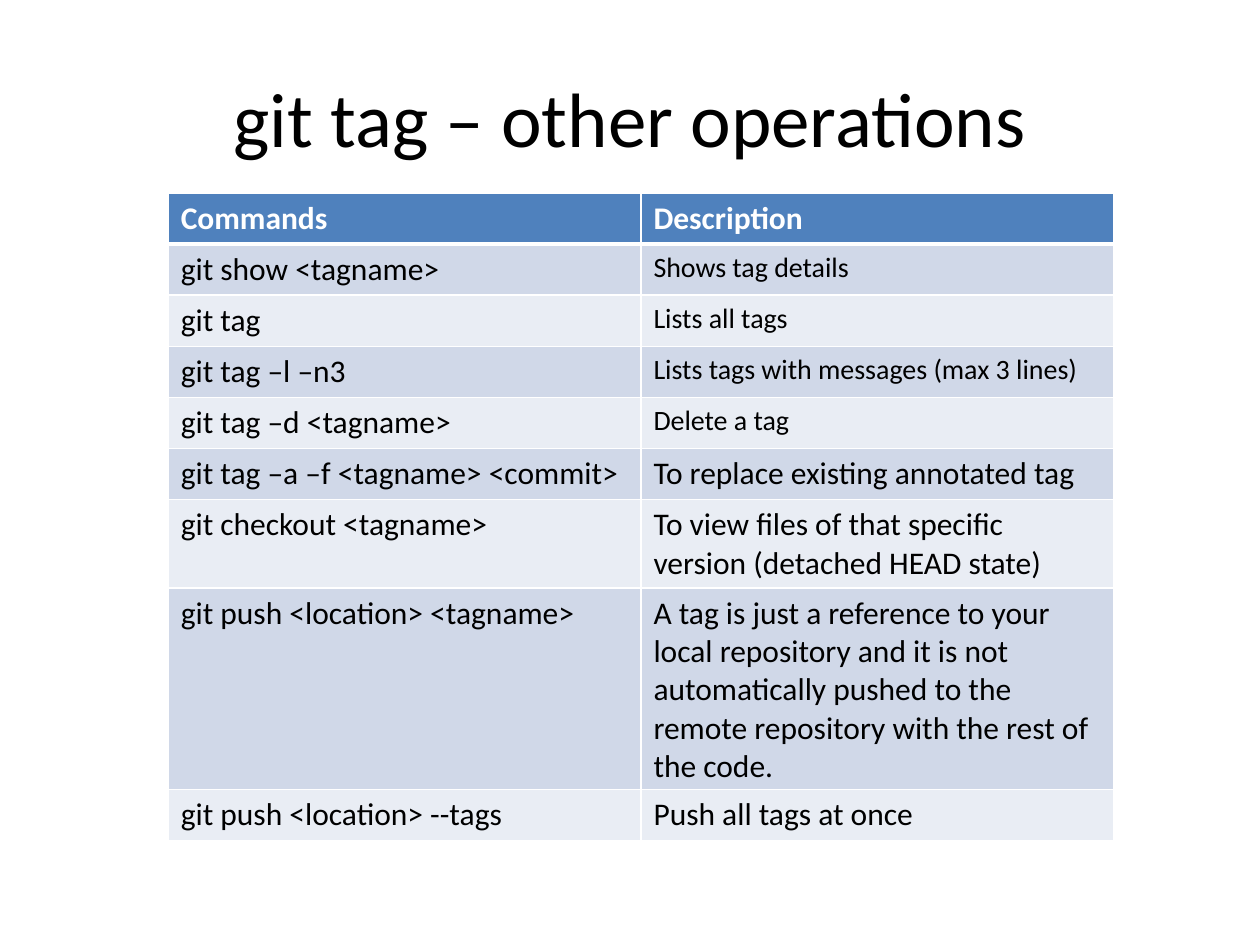
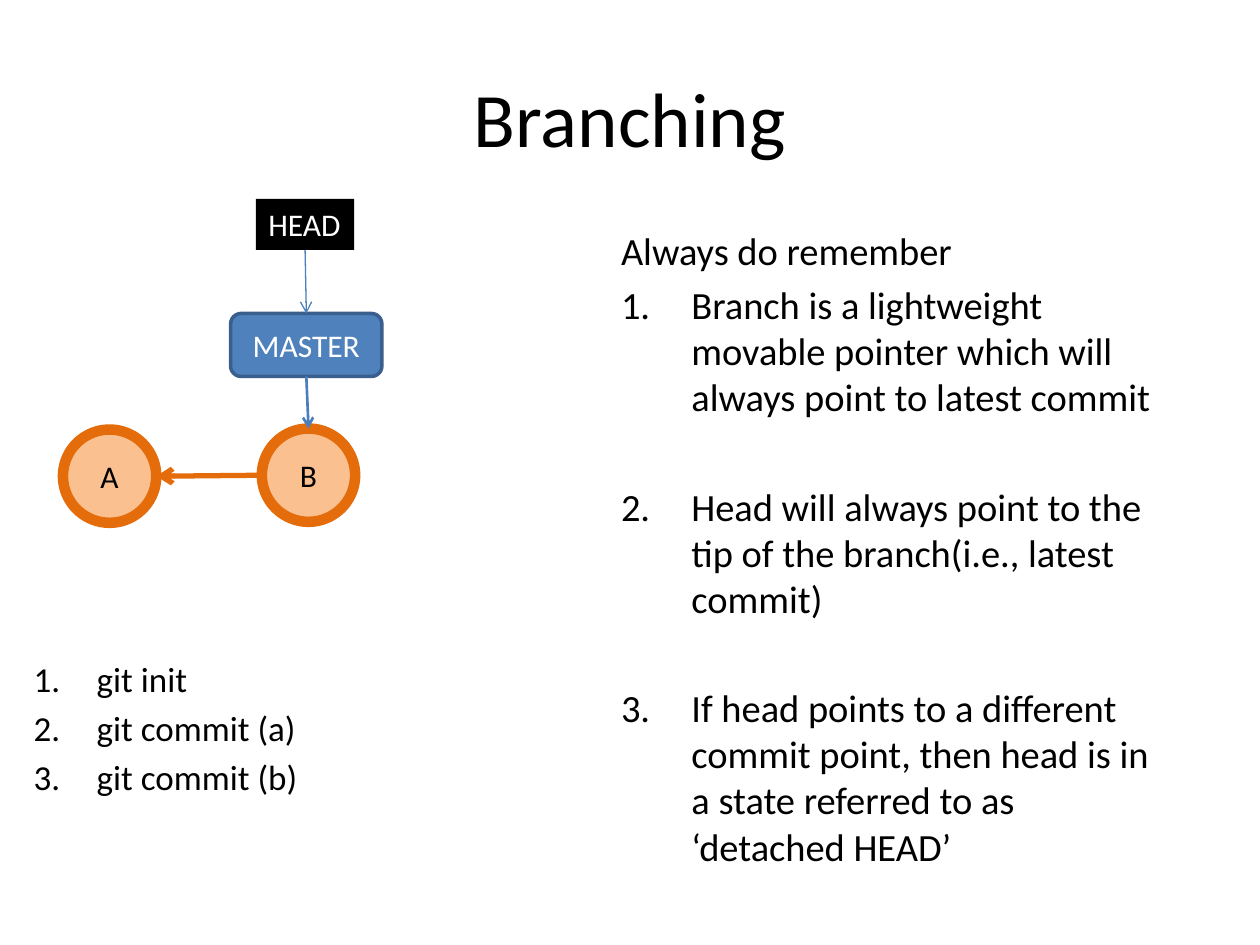
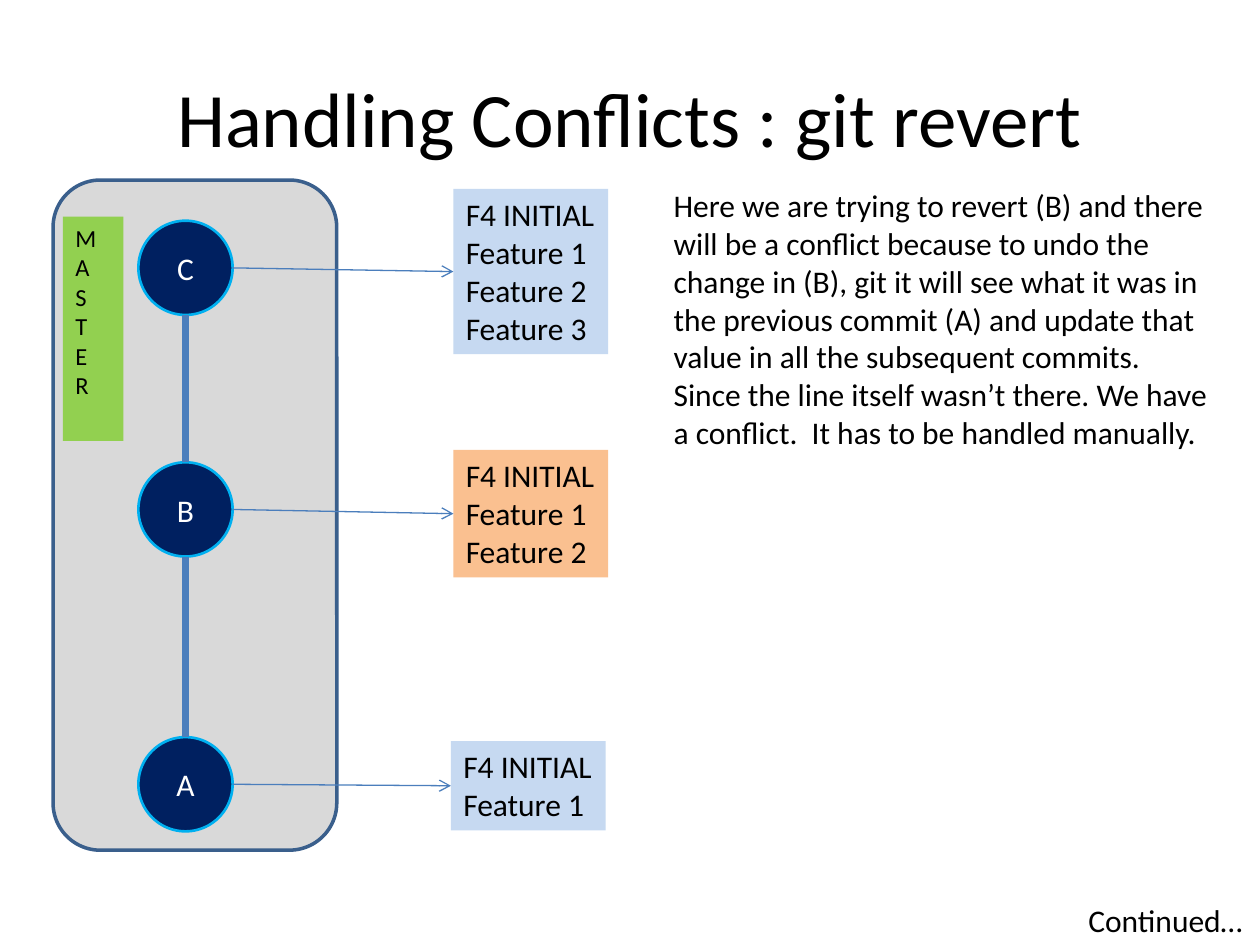
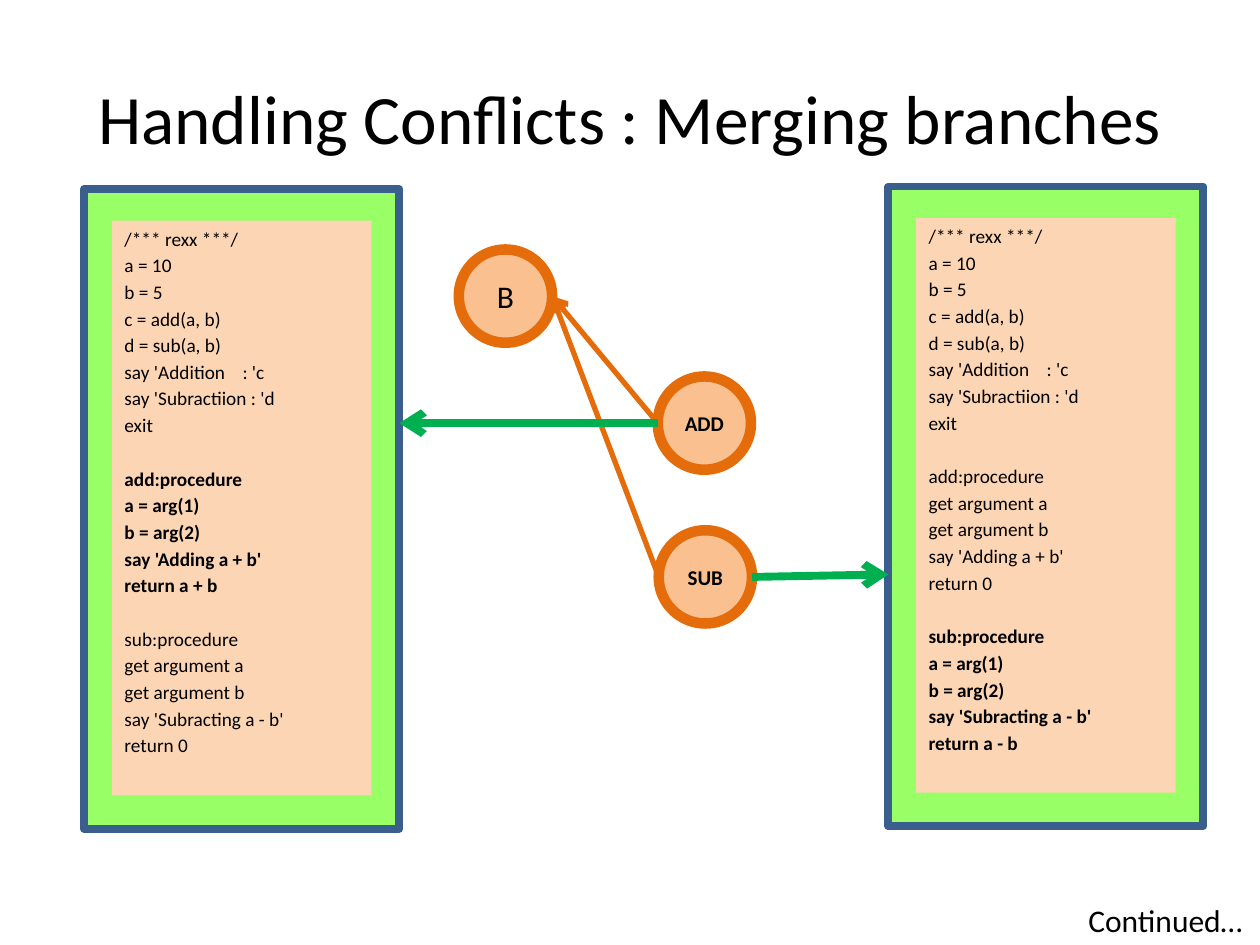
from lxml.etree import SubElement
from pptx import Presentation
from pptx.dml.color import RGBColor
from pptx.enum.shapes import MSO_CONNECTOR, MSO_SHAPE
from pptx.enum.text import MSO_ANCHOR, MSO_AUTO_SIZE, PP_ALIGN
from pptx.oxml.ns import qn
from pptx.util import Cm, Pt

FONT = "Calibri"
COLORS = {
    "black": "000000", "white": "FFFFFF", "blue": "4F81BD", "blue_edge": "3A5F8C",
    "blue_line": "4B7EBC", "band_dark": "D0D8E8", "band_light": "E9EDF4",
    "peach": "FAC090", "orange": "E46C0A", "pale_peach": "FCD5B5",
    "navy": "002060", "cyan": "00B0F0", "gray": "D9D9D9", "pale_blue": "C6D9F1",
    "lime": "92D050", "bright_lime": "99FF66", "green": "00B050",
}
# Connection site number and relative place of each side
SIDES = {"top": (0, 0.5, 0), "left": (1, 0, 0.5), "bottom": (2, 0.5, 1), "right": (3, 1, 0.5)}


def color(name):
    return RGBColor.from_string(COLORS[name])


def write(frame, text, *, size=18, ink="black", bold=False, align=PP_ALIGN.LEFT,
          before=0, indent=None, first=True):
    """Put one paragraph into a text frame."""
    para = frame.paragraphs[0] if first else frame.add_paragraph()
    if indent:
        properties = para._p.get_or_add_pPr()
        properties.set("marL", str(Cm(indent)))
        properties.set("indent", str(-Cm(indent)))
        SubElement(properties, qn("a:buFont"), typeface="+mj-lt")
        SubElement(properties, qn("a:buAutoNum"), type="arabicPeriod")
    para.alignment = align
    if not first:
        para.space_before = Pt(before)
    span = para.add_run()
    span.text = text
    span.font.name, span.font.size, span.font.bold = FONT, Pt(size), bold
    span.font.color.rgb = color(ink)


def write_lines(frame, lines, **style):
    for number, line in enumerate(lines):
        write(frame, line, first=number == 0, **style)


def locate(anchor):
    """Return x, y for a (shape, side) pair or a plain (x, y) pair."""
    if isinstance(anchor[0], int):
        return anchor
    shape, side = anchor
    _, across, down = SIDES[side]
    return int(shape.left + shape.width * across), int(shape.top + shape.height * down)


def joins(anchor):
    return not isinstance(anchor[0], int) and anchor[0].auto_shape_type != MSO_SHAPE.OVAL


class Slides:
    def __init__(self):
        self.deck = Presentation()
        self.deck.slide_width, self.deck.slide_height = Cm(25.4), Cm(19.05)
        self.page = None

    def start(self, title, size=44):
        self.page = self.deck.slides.add_slide(self.deck.slide_layouts[6])
        frame = self.text_box(1.27, 0.76, 22.86, 3.17)
        frame.vertical_anchor = MSO_ANCHOR.MIDDLE
        write(frame, title, size=size, align=PP_ALIGN.CENTER)

    def text_box(self, left, top, width, height, wrap=True):
        box = self.page.shapes.add_textbox(Cm(left), Cm(top), Cm(width), Cm(height))
        box.text_frame.word_wrap = wrap
        return box.text_frame

    def shape(self, kind, left, top, width, height, fill, edge=None, weight=0):
        shape = self.page.shapes.add_shape(kind, Cm(left), Cm(top), Cm(width), Cm(height))
        shape.shadow.inherit = False
        shape.fill.solid()
        shape.fill.fore_color.rgb = color(fill)
        if edge:
            shape.line.color.rgb = color(edge)
            shape.line.width = Pt(weight)
        else:
            shape.line.fill.background()
        return shape

    def circle(self, text, left, top, diameter, fill, edge, weight, **style):
        circle = self.shape(MSO_SHAPE.OVAL, left, top, diameter, diameter, fill, edge, weight)
        frame = circle.text_frame
        frame.margin_left = frame.margin_right = 0
        write(frame, text, align=PP_ALIGN.CENTER, **style)
        return circle

    def orange_commit(self, text, left, top, **style):
        return self.circle(text, left, top, 1.88, "peach", "orange", 6, **style)

    def label(self, lines, left, top, width, height, fill, **style):
        """Filled rectangle that fits its unwrapped lines."""
        label = self.shape(MSO_SHAPE.RECTANGLE, left, top, width, height, fill)
        frame = label.text_frame
        frame.word_wrap = False
        frame.auto_size = MSO_AUTO_SIZE.SHAPE_TO_FIT_TEXT
        frame.vertical_anchor = MSO_ANCHOR.TOP
        write_lines(frame, lines, **style)
        return label

    def connect(self, start, end, ink, weight, arrow=True):
        line = self.page.shapes.add_connector(MSO_CONNECTOR.STRAIGHT, *locate(start), *locate(end))
        if joins(start):
            line.begin_connect(start[0], SIDES[start[1]][0])
        if joins(end):
            line.end_connect(end[0], SIDES[end[1]][0])
        line.line.color.rgb = color(ink)
        line.line.width = Pt(weight)
        if arrow:
            SubElement(line.line._get_or_add_ln(), qn("a:tailEnd"), type="arrow")
        SubElement(line._element.spPr, qn("a:effectLst"))

    def table(self, rows, left, top, column_width, row_height):
        table = self.page.shapes.add_table(
            len(rows), len(rows[0]), Cm(left), Cm(top),
            Cm(column_width * len(rows[0])), Cm(row_height * len(rows))).table
        table.horz_banding = False
        for column in table.columns:
            column.width = Cm(column_width)
        for number, row in enumerate(rows):
            header = number == 0
            fill = "blue" if header else ("band_light", "band_dark")[number % 2]
            for cell, (text, size) in zip(table.rows[number].cells, row):
                self.borders(cell, top=3 if number == 1 else 1, bottom=3 if header else 1)
                cell.fill.solid()
                cell.fill.fore_color.rgb = color(fill)
                write(cell.text_frame, text, size=size, bold=header,
                      ink="white" if header else "black")

    def borders(self, cell, top, bottom):
        properties = cell._tc.get_or_add_tcPr()
        for tag, weight in (("lnL", 1), ("lnR", 1), ("lnT", top), ("lnB", bottom)):
            border = SubElement(properties, qn(f"a:{tag}"), w=str(Pt(weight)))
            paint = SubElement(border, qn("a:solidFill"))
            SubElement(paint, qn("a:srgbClr"), val=COLORS["white"])

    def code_panel(self, left, top, lines, bold_part):
        """Green panel with a listing; each procedure starts after a gap."""
        panel = self.shape(MSO_SHAPE.RECTANGLE, left, top, 6.35, 12.9,
                           "bright_lime", "blue_edge", 4.5)
        sheet = self.shape(MSO_SHAPE.RECTANGLE, left + 0.56, top + 0.64, 5.23, 11.58, "pale_peach")
        frame = sheet.text_frame
        frame.vertical_anchor = MSO_ANCHOR.TOP
        for number, line in enumerate(lines):
            write(frame, line, size=11, bold=line in bold_part, first=number == 0,
                  before=17.4 if line.endswith(":procedure") else 2)
        return panel

    def continued(self):
        write(self.text_box(21.69, 18.03, 3.66, 1.02, wrap=False), "Continued…")


def tag_operations(slides):
    slides.start("git tag – other operations")
    slides.table([
        [("Commands", 18), ("Description", 18)],
        [("git show <tagname>", 18), ("Shows tag details", 16)],
        [("git tag", 18), ("Lists all tags", 16)],
        [("git tag –l –n3", 18), ("Lists tags with messages (max 3 lines)", 16)],
        [("git tag –d <tagname>", 18), ("Delete a tag", 16)],
        [("git tag –a –f <tagname> <commit>", 18), ("To replace existing annotated tag", 18)],
        [("git checkout <tagname>", 18),
         ("To view files of that specific version (detached HEAD state)", 18)],
        [("git push <location> <tagname>", 18),
         ("A tag is just a reference to your local repository and it is not automatically "
          "pushed to the remote repository with the rest of the code.", 18)],
        [("git push <location> --tags", 18), ("Push all tags at once", 18)],
    ], 3.39, 3.89, 9.53, 1.03)


def branching(slides):
    slides.start("Branching")
    # Commit graph
    commit_a = slides.orange_commit("A", 1.27, 8.66)
    commit_b = slides.orange_commit("B", 5.28, 8.64)
    master = slides.shape(MSO_SHAPE.ROUNDED_RECTANGLE, 4.65, 6.32, 3.05, 1.27,
                          "blue", "blue_edge", 2)
    write(master.text_frame, "MASTER", ink="white", align=PP_ALIGN.CENTER)
    head = slides.label(["HEAD"], 5.16, 4.01, 1.98, 1.03, "black", ink="white")
    slides.connect((commit_b, "left"), (commit_a, "right"), "orange", 3)
    slides.connect((master, "bottom"), (commit_b, "top"), "blue_line", 1.5)
    slides.connect((head, "bottom"), (master, "top"), "blue_line", 0.75)
    # Rules to remember
    rules = slides.text_box(12.27, 4.45, 11.43, 11.1)
    write(rules, "Always do remember", size=22)
    for text, before in (
        ("Branch is a lightweight movable pointer which will always point to latest commit", 4.5),
        ("Head will always point to the tip of the branch(i.e., latest commit)", 36),
        ("If head points to a different commit point, then head is in a state referred to as "
         "‘detached HEAD’", 36),
    ):
        write(rules, text, size=22, before=before, indent=1.42, first=False)
    # Commands
    write_lines(slides.text_box(0.43, 13.13, 11.43, 5.18),
                ["git init", "git commit (a)", "git commit (b)"],
                size=20, before=4, indent=1.27)


def reverting(slides):
    slides.start("Handling Conflicts : git revert")
    write(slides.text_box(13.33, 3.63, 11.4, 6.32),
          "Here we are trying to revert (B) and there will be a conflict because to undo the "
          "change in (B), git it will see what it was in the previous commit (A) and update that "
          "value in all the subsequent commits. Since the line itself wasn’t there. We have a "
          "conflict.  It has to be handled manually.")
    # Branch lane
    slides.shape(MSO_SHAPE.ROUNDED_RECTANGLE, 1.07, 3.63, 5.72, 13.51, "gray", "blue_edge", 2)
    branch = slides.label(["MASTER"], 1.27, 4.37, 1.22, 4.52, "lime", size=14)
    branch.text_frame._txBody.bodyPr.set("vert", "wordArtVert")
    # Commits with the file content at each one
    content = ["F4 INITIAL", "Feature 1", "Feature 2", "Feature 3"]
    commits = []
    for name, top, line_count, left, label_top, height, fill in (
        ("C", 4.45, 4, 9.14, 3.81, 3.33, "pale_blue"),
        ("B", 9.32, 3, 9.14, 9.07, 2.57, "peach"),
        ("A", 14.86, 2, 9.09, 14.94, 1.8, "pale_blue"),
    ):
        commit = slides.circle(name, 2.79, top, 1.9, "navy", "cyan", 1.5, ink="white")
        label = slides.label(content[:line_count], left, label_top, 3.12, height, fill)
        slides.connect((commit, "right"), (label, "left"), "blue_line", 0.75)
        commits.append(commit)
    for newer, older in zip(commits, commits[1:]):
        slides.connect((older, "top"), (newer, "bottom"), "blue_line", 4.5, arrow=False)
    slides.continued()


def merging(slides):
    slides.start("Handling Conflicts : Merging branches", size=39.6)
    # Listings of both branches
    main_part = ["/*** rexx ***/", "a = 10", "b = 5", "c = add(a, b)", "d = sub(a, b)",
                 "say 'Addition    : 'c", "say 'Subractiion : 'd", "exit"]

    def procedure(name, message, result, done):
        arguments = ["a = arg(1)", "b = arg(2)"] if done else ["get argument a", "get argument b"]
        return [f"{name}:procedure", *arguments, f"say '{message}'",
                f"return {result if done else 0}"]

    add = ("add", "Adding a + b", "a + b")
    sub = ("sub", "Subracting a - b", "a - b")
    add_done, sub_done = procedure(*add, True), procedure(*sub, True)
    left_panel = slides.code_panel(
        1.7, 3.81, main_part + add_done + procedure(*sub, False), add_done)
    right_panel = slides.code_panel(
        17.91, 3.76, main_part + procedure(*add, False) + sub_done, sub_done)
    # Commit graph
    base = slides.orange_commit("B", 9.25, 5.03)
    add_commit = slides.orange_commit("ADD", 13.26, 7.59, size=12, bold=True)
    sub_commit = slides.orange_commit("SUB", 13.28, 10.69, size=12, bold=True)
    for commit in (add_commit, sub_commit):
        slides.connect((commit, "left"), (base, "right"), "orange", 3)
    # Each branch points to its listing
    panel_edge = left_panel.left + left_panel.width
    slides.connect((add_commit, "left"), (panel_edge, Cm(8.53)), "green", 4.5)
    slides.connect((sub_commit, "right"), (right_panel.left, Cm(11.58)), "green", 4.5)
    slides.continued()


def main():
    slides = Slides()
    for build in (tag_operations, branching, reverting, merging):
        build(slides)
    slides.deck.save("out.pptx")


if __name__ == "__main__":
    main()
